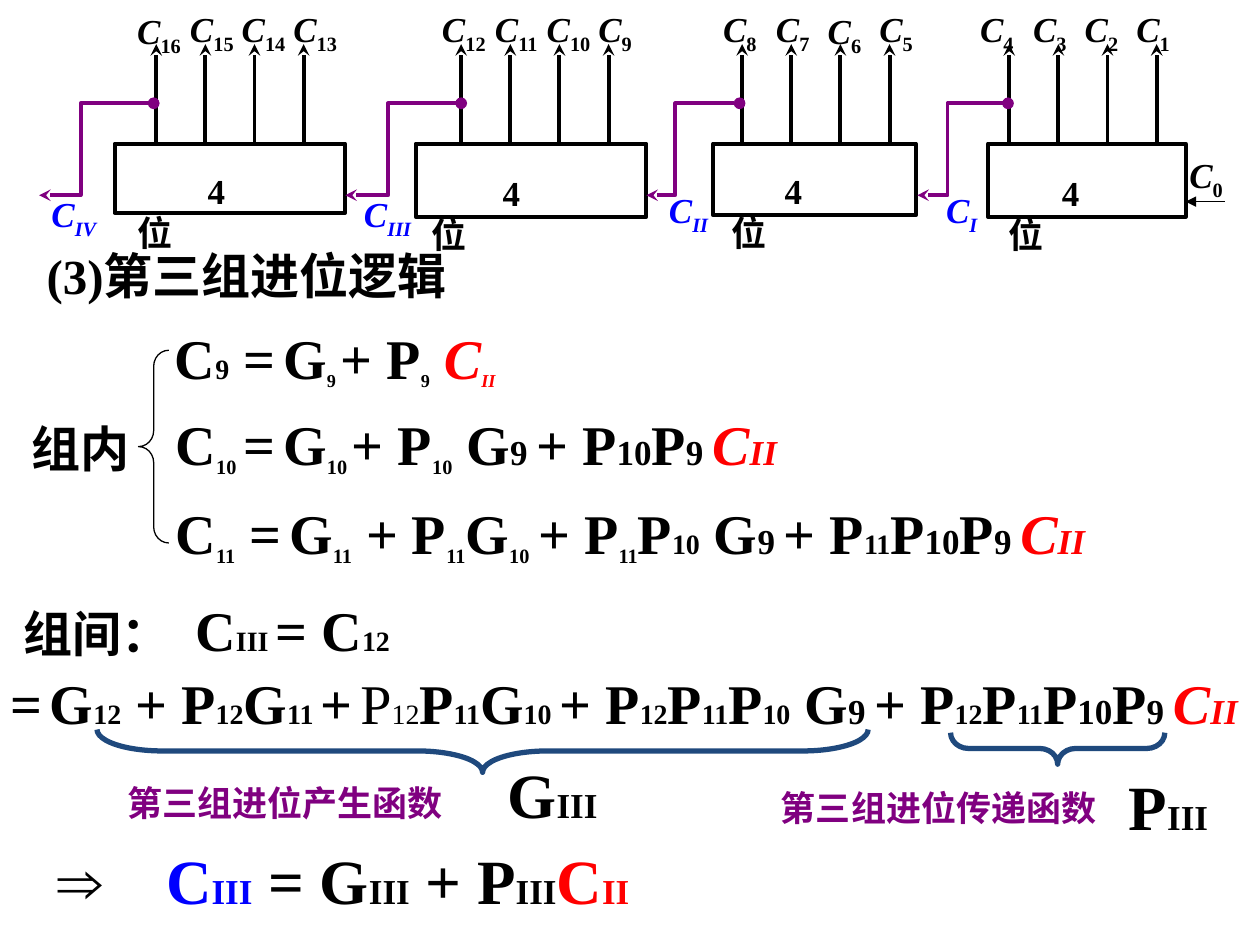
import pptx
import pptx.dml.color
import pptx.enum.shapes
import pptx.enum.text
import pptx.oxml
import pptx.oxml.ns
import pptx.util

BLACK = pptx.dml.color.RGBColor(0x00, 0x00, 0x00)
RED = pptx.dml.color.RGBColor(0xFF, 0x00, 0x00)
BLUE = pptx.dml.color.RGBColor(0x00, 0x00, 0xFF)
PURPLE = pptx.dml.color.RGBColor(0x80, 0x00, 0x80)
NAVY = pptx.dml.color.RGBColor(0x1F, 0x49, 0x7D)

SERIF = "Times New Roman"
HAN = "Noto Sans CJK SC"
SHAPE = pptx.enum.shapes.MSO_SHAPE

SUB = {"baseline": -25000}
ITALIC = {"italic": True}
RED_ITALIC = {"italic": True, "color": RED}
BLUE_ITALIC = {"italic": True, "color": BLUE}


class SlideBuilder:
    """Draws on one slide; lengths are px, 100 to the inch."""

    scale = 9144

    def __init__(self, slide):
        self.slide = slide
        self.shapes = slide.shapes

    def emu(self, *lengths):
        return [pptx.util.Emu(length * self.scale) for length in lengths]

    def add_xml(self, parent, tag, **attributes):
        element = pptx.oxml.parse_xml(f"<a:{tag} {pptx.oxml.ns.nsdecls('a')}/>")
        for name, value in attributes.items():
            element.set(name, str(value))
        parent.append(element)
        return element

    def run(self, paragraph, text, size, style):
        run = paragraph.add_run()
        run.text = text
        values = {"name": SERIF, "bold": True, "italic": False, "color": BLACK, **style}
        color = values.pop("color")
        baseline = values.pop("baseline", 0)
        values["size"] = pptx.util.Pt(size)
        for name, value in values.items():
            setattr(run.font, name, value)
        run.font.color.rgb = color
        properties = run.font._element
        if baseline:
            properties.set("baseline", str(baseline))
        self.add_xml(properties, "ea", typeface=HAN)

    def fill_text(self, shape, runs, wrap, side_margin=10, indent=0, tab=0):
        """Each run is (text, size) or (text, size, style)."""
        frame = shape.text_frame
        side, edge = self.emu(side_margin, 5)
        settings = {
            "word_wrap": wrap,
            "auto_size": pptx.enum.text.MSO_AUTO_SIZE.SHAPE_TO_FIT_TEXT,
            "vertical_anchor": pptx.enum.text.MSO_ANCHOR.TOP,
            "margin_left": side, "margin_right": side,
            "margin_top": edge, "margin_bottom": edge,
        }
        for name, value in settings.items():
            setattr(frame, name, value)
        paragraph = frame.paragraphs[0]
        paragraph.alignment = pptx.enum.text.PP_ALIGN.LEFT
        properties = paragraph._p.get_or_add_pPr()
        if indent:
            properties.set("indent", str(indent * self.scale))
        if tab:
            stops = self.add_xml(properties, "tabLst")
            self.add_xml(stops, "tab", pos=tab * self.scale, algn="l")
        for text, size, *style in runs:
            self.run(paragraph, text, size, style[0] if style else {})

    def title(self, box, runs):
        shape = self.shapes.title
        shape.left, shape.top, shape.width, shape.height = self.emu(*box)
        self.fill_text(shape, runs, wrap=True)

    def text(self, box, runs, wrap=False, **layout):
        shape = self.shapes.add_textbox(*self.emu(*box))
        self.fill_text(shape, runs, wrap, **layout)
        return shape

    def outline(self, shape, color, width, head=None, tail=None):
        shape.line.color.rgb = color
        shape.line.width = pptx.util.Pt(width)
        line = shape.line._get_or_add_ln()
        for tag, kind in (("headEnd", head), ("tailEnd", tail)):
            if kind:
                self.add_xml(line, tag, type=kind)

    def preset(self, kind, box, color, width, rotation=0, adjustment=None):
        shape = self.shapes.add_shape(kind, *self.emu(*box))
        shape.shadow.inherit = False
        shape.fill.background()
        shape.rotation = rotation
        if adjustment:
            shape.adjustments[0] = adjustment
        self.outline(shape, color, width)

    def line(self, start, end, width, **ends):
        connector = self.shapes.add_connector(
            pptx.enum.shapes.MSO_CONNECTOR.STRAIGHT, *self.emu(*start, *end))
        self.outline(connector, BLACK, width, **ends)
        self.add_xml(connector._element.spPr, "effectLst")

    def carry_path(self, tap, corner, end):
        builder = self.shapes.build_freeform(tap, 82, scale=self.scale)
        builder.add_line_segments([(corner, 82), (corner, 155), (end, 155)], close=False)
        shape = builder.convert_to_shape()
        shape.shadow.inherit = False
        shape.fill.background()
        self.outline(shape, PURPLE, 2.25, head="oval", tail="stealth")

    def adder_group(self, highest, box, caption, outputs, labels, carry):
        """One 4-bit block, its four outputs and the carry leaving it."""
        caption_box, indent = caption
        shape = self.text(caption_box, [("4位", 20)], wrap=True, indent=indent)
        shape.text_frame.margin_right = self.emu(20)[0]
        self.preset(SHAPE.RECTANGLE, box, BLACK, 2.25)
        for index in range(4):
            x = outputs + 39 * index
            self.line((x, 115), (x, 35), 2.25, tail="stealth")
            number = highest - index
            label_box = (labels + round(41.5 * index), 3 if number in (16, 6) else 1,
                         57 if number > 9 else 48, 43)
            self.text(label_box, [("C", 20, ITALIC), (str(number), 20, SUB)])
        self.carry_path(*carry)


ADDER_GROUPS = [
    (16, (91, 114, 183, 55), ((99, 130, 118, 43), 56), 124, 99, (122, 64, 31)),
    (12, (330, 114, 183, 58), ((333, 131, 118, 43), 56), 366, 341, (366, 308, 274)),
    (8, (566, 114, 161, 57), ((571, 130, 104, 43), 42), 589, 564, (587, 536, 513)),
    (4, (784, 114, 157, 58), ((791, 131, 104, 43), 42), 801, 768, (800, 752, 728)),
]
GROUP_CARRIES = [
    ("I", (741, 145, 58, 43)), ("II", (521, 145, 58, 43)),
    ("III", (279, 148, 82, 43)), ("IV", (31, 148, 82, 43)),
]
CARRY_II = [("C", 32, RED_ITALIC), ("II", 20, RED_ITALIC)]
PLAIN = {"bold": False}
FORMULAS = [
    ((129, 252, 292, 63), 10, [
        ("C", 32), ("9", 16), (" =", 32), (" ", 18), ("G", 32), ("9 ", 18, SUB),
        ("+ P", 32), ("9", 18, SUB), (" ", 32), ("C", 32, RED_ITALIC),
        ("II", 18, RED_ITALIC | SUB)]),
    ((124, 320, 512, 63), 10, [
        (" ", 16), ("C", 32), ("10", 20, SUB), (" ", 16), ("=", 32), (" ", 18),
        ("G", 32), ("10", 20, SUB), (" ", 18, SUB), ("+ P", 32), ("10", 20, SUB),
        (" G", 32), ("9 ", 20), ("+ P", 32), ("10", 20), ("P", 32), ("9 ", 20),
        *CARRY_II]),
    ((124, 391, 763, 63), 10, [
        (" ", 16), ("C", 32), ("11", 20, SUB), (" =", 32), (" ", 18), ("G", 32),
        ("11", 20, SUB), (" + P", 32), ("11", 20, SUB), ("G", 32), ("10", 20, SUB),
        (" ", 20), ("+ P", 32), ("11", 20, SUB), ("P", 32), ("10", 16), (" G", 32),
        ("9 ", 20), ("+ P", 32), ("11", 16), ("P", 32), ("10", 20), ("P", 32),
        ("9 ", 20), *CARRY_II]),
    ((8, 526, 984, 63), 0, [
        ("=", 32), (" ", 18), ("G", 32), ("12", 16), (" + P", 32), ("12", 16),
        ("G", 32), ("11 ", 16), ("+", 32), (" ", 18, PLAIN), ("P", 32, PLAIN),
        ("12", 16, PLAIN), ("P", 32), ("11", 16), ("G", 32), ("10", 16),
        (" ", 18), ("+ P", 32), ("12", 16), ("P", 32), ("11", 16), ("P", 32),
        ("10", 16), (" G", 32), ("9 ", 20), ("+ P", 32), ("12", 16), ("P", 32),
        ("11", 16), ("P", 32), ("10", 20), ("P", 32), ("9 ", 20), *CARRY_II]),
]
HAN_LABELS = [
    ("组内", (15, 327, 236, 57), 28, BLACK),
    ("组间：", (9, 474, 236, 57), 28, BLACK),
    ("第三组进位产生函数", (91, 615, 332, 44), 20, PURPLE),
    ("第三组进位传递函数", (610, 619, 293, 44), 20, PURPLE),
]


def main():
    presentation = pptx.Presentation()
    presentation.slide_width = pptx.util.Inches(10)
    presentation.slide_height = pptx.util.Inches(7.5)
    builder = SlideBuilder(presentation.slides.add_slide(presentation.slide_layouts[5]))

    builder.title((27, 190, 402, 57), [("(3)第三组进位逻辑", 28)])
    for box, side_margin, runs in FORMULAS:
        builder.text(box, runs, side_margin=side_margin)
    for text, box, size, color in HAN_LABELS:
        builder.text(box, [(text, size, {"name": HAN, "color": color})], wrap=True)
    builder.text((144, 468, 315, 63), [(" C", 32), ("III ", 16), ("= C", 32), ("12", 16)],
                 wrap=True, side_margin=0)
    for letter, box in (("G", (393, 595, 96, 70)), ("P", (886, 604, 86, 70))):
        builder.text(box, [(letter, 36), ("III", 20)])
    builder.text((36, 663, 708, 70), [
        ("⇒\t", 36, ITALIC), ("C", 36, {"color": BLUE}), ("III", 20, {"color": BLUE}),
        (" = G", 36), ("III", 20), (" + P", 36), ("III", 20),
        ("C", 36, {"color": RED}), ("II", 20, {"color": RED})], wrap=True, tab=86)

    builder.preset(SHAPE.LEFT_BRACE, (110, 278, 24, 153), BLACK, 0.75, adjustment=0.53)
    builder.preset(SHAPE.LEFT_BRACE, (366, 290, 34, 612), NAVY, 3, 270, 1.52)
    builder.preset(SHAPE.LEFT_BRACE, (827, 509, 25, 170), NAVY, 3, 270, 0.57)

    for group in ADDER_GROUPS:
        builder.adder_group(*group)
    builder.text((934, 117, 58, 43), [("C", 20, ITALIC), ("0", 20, SUB)], wrap=True)
    builder.line((941, 160), (972, 160), 0.75, head="triangle")
    for numeral, box in GROUP_CARRIES:
        builder.text(box, [("C", 20, BLUE_ITALIC), (numeral, 20, BLUE_ITALIC | SUB)], wrap=True)

    presentation.save("out.pptx")


if __name__ == "__main__":
    main()
